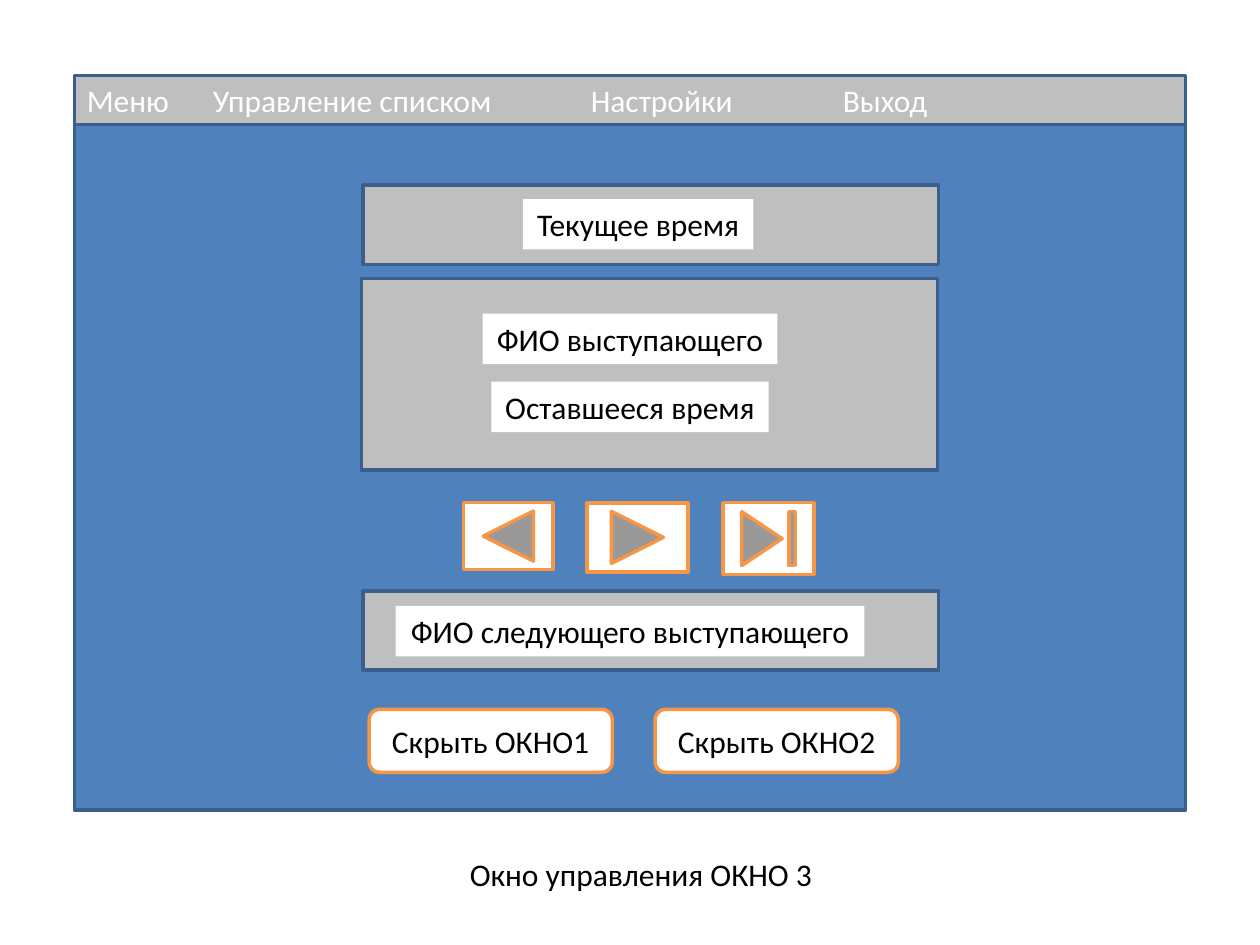
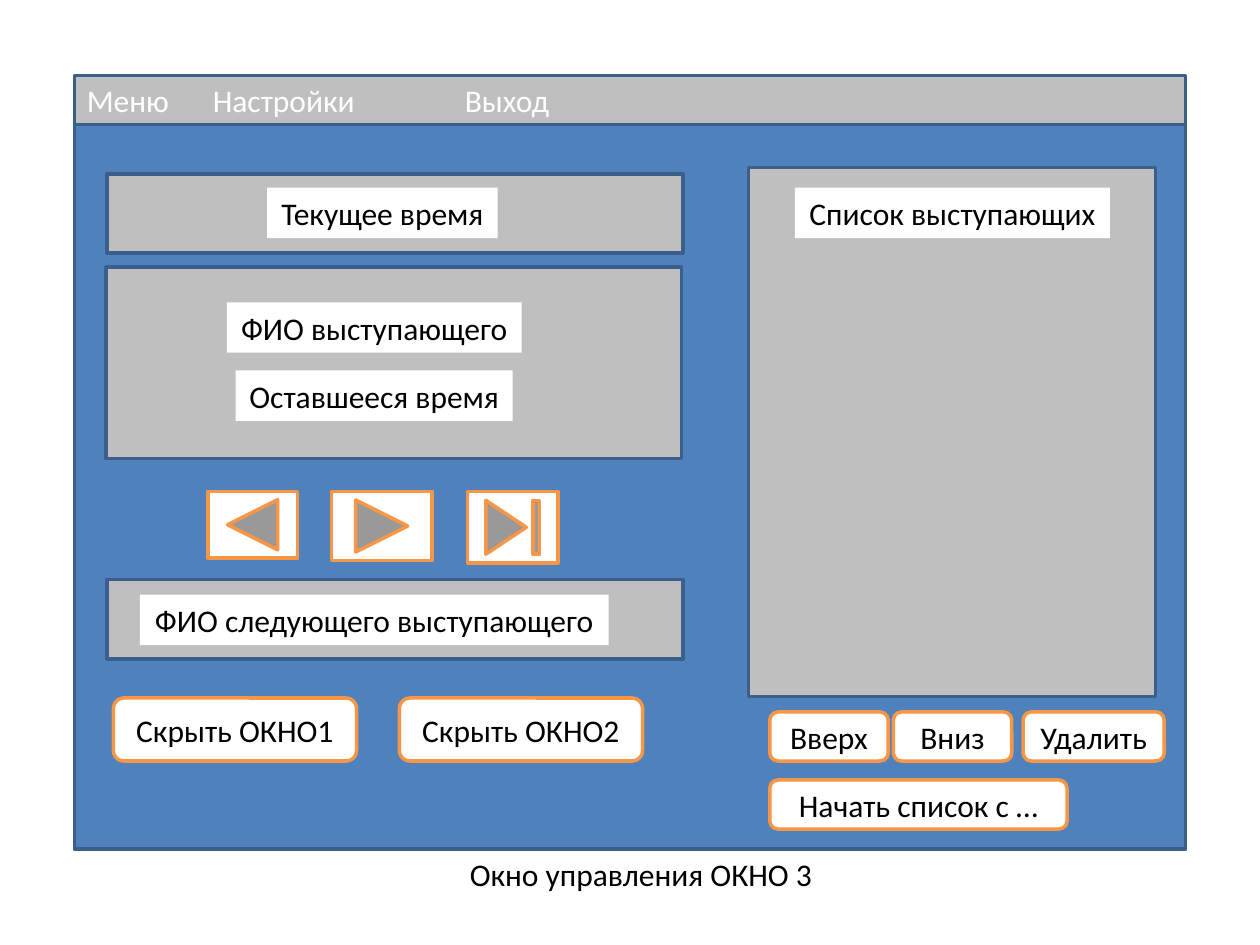
from lxml import etree
from pptx import Presentation
from pptx.dml.color import RGBColor
from pptx.enum.shapes import MSO_SHAPE as SHAPE
from pptx.enum.text import MSO_ANCHOR as ANCHOR, MSO_AUTO_SIZE as AUTO, PP_ALIGN as ALIGN
from pptx.oxml.ns import qn
from pptx.util import Inches, Pt

BLUE = RGBColor(0x4F, 0x81, 0xBD)
NAVY = RGBColor(0x3A, 0x5F, 0x8C)
GRAY = RGBColor(0xBF, 0xBF, 0xBF)
ORANGE = RGBColor(0xF7, 0x96, 0x46)
WHITE = RGBColor(0xFF, 0xFF, 0xFF)
BLACK = RGBColor(0, 0, 0)

FONT = {"name": "Calibri", "size": Pt(18)}
STYLES = {  # preset shape, fill, line
    "window": (SHAPE.RECTANGLE, BLUE, NAVY),
    "panel": (SHAPE.RECTANGLE, GRAY, NAVY),
    "button": (SHAPE.ROUNDED_RECTANGLE, WHITE, ORANGE),
    "back": (SHAPE.ACTION_BUTTON_BACK_OR_PREVIOUS, WHITE, ORANGE),
    "play": (SHAPE.ACTION_BUTTON_FORWARD_OR_NEXT, WHITE, ORANGE),
    "end": (SHAPE.ACTION_BUTTON_END, WHITE, ORANGE),
}
LEFT, TOP, WIDTH = 0.59, 0.6, 8.82
MENU_H, LABEL_H, SMALL_H = 0.39, 0.4, 0.39
CAPTION = ("Окно управления ОКНО 3", 3.63, 6.74, 2.95)

# Player controls, measured from the corner of the speaker panel
PANELS = [(0, 0, 4.57, 1.52), (0.01, -0.74, 4.57, 0.63), (0.01, 2.48, 4.57, 0.63)]
LABELS = [
    ("ФИО выступающего", 0.96, 0.28, 2.34),
    ("Оставшееся время", 1.03, 0.82, 2.2),
    ("Текущее время", 1.28, -0.63, 1.83),
    ("ФИО следующего выступающего", 0.27, 2.6, 3.72),
]
PLAYER = [("back", 0.81, 0.71, 0.53), ("play", 1.79, 0.8, 0.55), ("end", 2.87, 0.72, 0.57)]
PLAYER_Y = 1.78
HIDE = ["Скрыть ОКНО1", "Скрыть ОКНО2"]
HIDE_X, HIDE_Y, HIDE_W, HIDE_H, HIDE_STEP = 0.06, 3.42, 1.93, 0.5, 2.27

# List of speakers with its buttons
LIST_PANEL = (5.94, 1.33, 3.23, 4.2)
LIST_LABEL = ("Список выступающих", 6.31, 1.49, 2.5)
LIST_BUTTONS = [
    ("Вверх", 6.11, 5.65, 0.94),
    ("Вниз", 7.09, 5.65, 0.94),
    ("Удалить", 8.12, 5.65, 1.12),
    ("Начать список с …", 6.11, 6.19, 2.36),
]

SLIDES = [
    {"menu": ["Меню", "Управление списком", "Настройки", "Выход"],
     "height": 5.83, "origin": (2.87, 2.21), "list": False},
    {"menu": ["Меню", "Настройки", "Выход"],
     "height": 6.14, "origin": (0.84, 2.12), "list": True},
]


def write(sp, text, color, align):
    """Put one formatted line of text in a shape and return its paragraph."""
    p = sp.text_frame.paragraphs[0]
    p.alignment = align
    r = p.add_run()
    r.text = text
    for name, value in FONT.items():
        setattr(r.font, name, value)
    r.font.color.rgb = color
    return p


def add_box(s, style, x, y, w, h, text=None, color=BLACK, align=ALIGN.CENTER):
    """Add a filled, outlined shape; return its paragraph if it has text."""
    kind, fill, line = STYLES[style]
    sp = s.shapes.add_shape(kind, Inches(x), Inches(y), Inches(w), Inches(h))
    sp.shadow.inherit = False
    sp.fill.solid()
    sp.fill.fore_color.rgb = fill
    sp.line.color.rgb = line
    sp.line.width = Pt(2)
    if text:
        sp.text_frame.vertical_anchor = ANCHOR.MIDDLE
        return write(sp, text, color, align)


def add_label(s, text, x, y, w, fill=WHITE, align=ALIGN.CENTER):
    """Add a one-line text box, filled unless fill is None."""
    sp = s.shapes.add_textbox(Inches(x), Inches(y), Inches(w), Inches(LABEL_H))
    sp.text_frame.word_wrap = False
    sp.text_frame.auto_size = AUTO.SHAPE_TO_FIT_TEXT
    if fill is not None:
        sp.fill.solid()
        sp.fill.fore_color.rgb = fill
    write(sp, text, BLACK, align)


def add_menu(s, items):
    """Add the menu bar, its items on tab stops one inch apart."""
    p = add_box(s, "panel", LEFT, TOP, WIDTH, MENU_H, "\t".join(items), WHITE, ALIGN.LEFT)
    tabs = etree.SubElement(p._p.get_or_add_pPr(), qn("a:tabLst"))
    for inch in range(1, int(WIDTH)):
        etree.SubElement(tabs, qn("a:tab"), pos=str(Inches(inch)), algn="l")


def add_player(s, x0, y0):
    """Add the time and speaker panels with the control buttons."""
    for x, y, w, h in PANELS:
        add_box(s, "panel", x0 + x, y0 + y, w, h)
    for text, x, y, w in LABELS:
        add_label(s, text, x0 + x, y0 + y, w)
    for style, x, w, h in PLAYER:
        add_box(s, style, x0 + x, y0 + PLAYER_Y, w, h)
    for i, text in enumerate(HIDE):
        add_box(s, "button", x0 + HIDE_X + i * HIDE_STEP, y0 + HIDE_Y, HIDE_W, HIDE_H, text)


def add_speaker_list(s):
    """Add the list panel and its buttons."""
    add_box(s, "panel", *LIST_PANEL)
    add_label(s, *LIST_LABEL)
    for text, x, y, w in LIST_BUTTONS:
        add_box(s, "button", x, y, w, SMALL_H, text)


prs = Presentation()
prs.slide_width, prs.slide_height = Inches(10), Inches(7.5)
for page in SLIDES:
    s = prs.slides.add_slide(prs.slide_layouts[6])
    add_box(s, "window", LEFT, TOP, WIDTH, page["height"])
    add_label(s, *CAPTION, fill=None, align=ALIGN.LEFT)
    add_menu(s, page["menu"])
    add_player(s, *page["origin"])
    if page["list"]:
        add_speaker_list(s)
prs.save("out.pptx")
